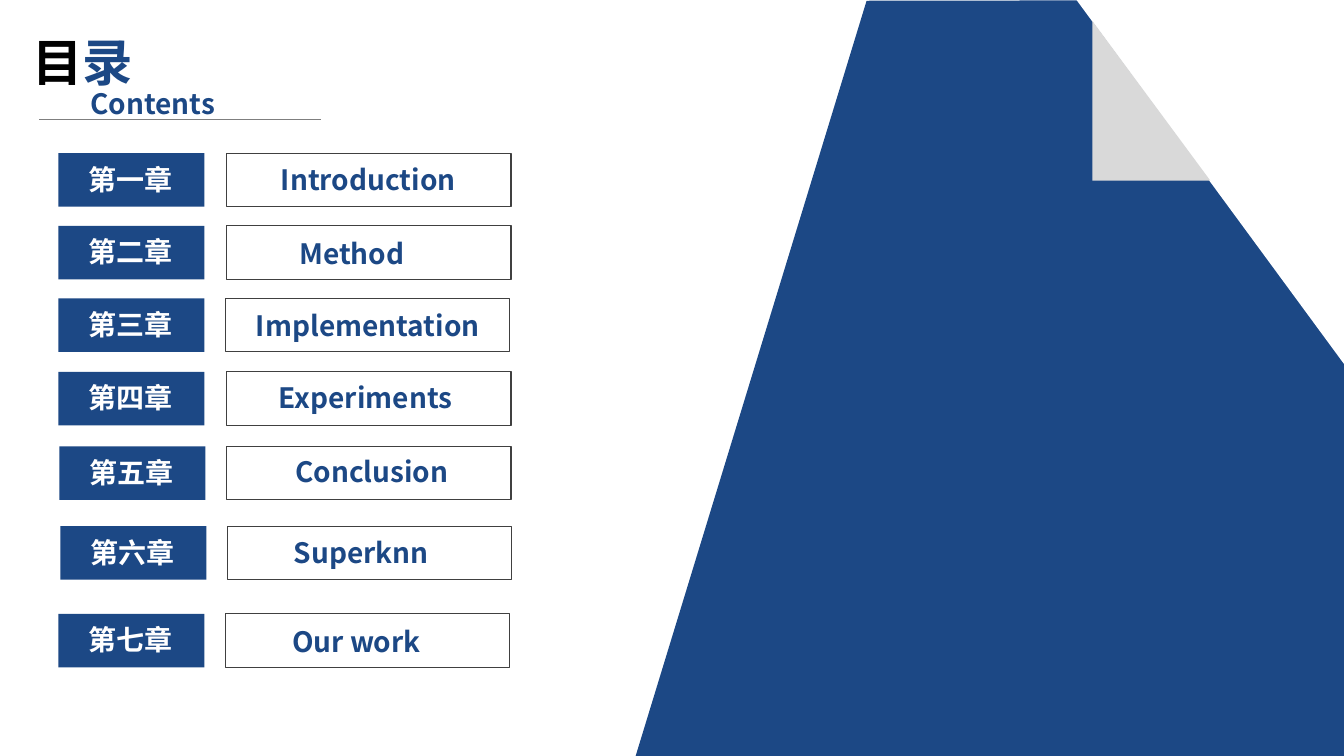
from dataclasses import dataclass
from typing import NamedTuple

import pptx
import pptx.dml.color
import pptx.enum.shapes
import pptx.enum.text
import pptx.oxml.ns
import pptx.util
from lxml import etree
from pptx.util import Cm


def rgb(code):
    return pptx.dml.color.RGBColor.from_string(code)


@dataclass(frozen=True)
class Theme:
    font: str = "Noto Sans CJK SC"
    navy: str = "1C4885"
    white: str = "FFFFFF"
    black: str = "000000"
    fold: str = "D9D9D9"
    frame: str = "404040"
    rule: str = "7F7F7F"
    heading_size: int = 36
    body_size: int = 20


THEME = Theme()


class Chapter(NamedTuple):
    """One row of the contents; all lengths are centimetres."""
    number: str
    title: str
    top: float
    chip_left: float
    frame_left: float
    title_left: float
    title_top: float
    title_width: float


CHAPTERS = [
    Chapter("第一章", "Introduction", 3.86, 1.47, 5.72, 6.83, 3.96, 6.48),
    Chapter("第二章", "Method", 5.69, 1.47, 5.72, 7.29, 5.84, 5.36),
    Chapter("第三章", "Implementation", 7.52, 1.47, 5.69, 6.2, 7.65, 7.57),
    Chapter("第四章", "Experiments", 9.37, 1.47, 5.72, 6.78, 9.47, 6.28),
    Chapter("第五章", "Conclusion", 11.25, 1.5, 5.72, 7.19, 11.33, 6.58),
    Chapter("第六章", "Superknn", 13.26, 1.52, 5.74, 7.16, 13.36, 4.27),
    Chapter("第七章", "Our work", 15.47, 1.47, 5.69, 7.11, 15.6, 4.27),
]


def add_polygon(shapes, corners, color):
    (start_x, start_y), *others = [(Cm(x), Cm(y)) for x, y in corners]
    outline = shapes.build_freeform(start_x, start_y)
    outline.add_line_segments(others, close=True)
    polygon = outline.convert_to_shape()
    polygon.shadow.inherit = False
    polygon.fill.solid()
    polygon.fill.fore_color.rgb = rgb(color)
    polygon.line.fill.background()


def add_box(shapes, left, top, width, fill=None, border=None):
    box = shapes.add_shape(pptx.enum.shapes.MSO_SHAPE.RECTANGLE,
                           Cm(left), Cm(top), Cm(width), Cm(1.35))
    box.shadow.inherit = False
    if fill:
        box.fill.solid()
        box.fill.fore_color.rgb = rgb(fill)
    else:
        box.fill.background()
    if border:
        box.line.color.rgb = rgb(border)
        box.line.width = pptx.util.Pt(0.75)
    else:
        box.line.fill.background()


def add_label(shapes, left, top, width, height, size, *pieces):
    """Add one bold line made of (text, colour) pieces."""
    label = shapes.add_textbox(Cm(left), Cm(top), Cm(width), Cm(height))
    frame = label.text_frame
    frame.word_wrap = True
    frame.auto_size = pptx.enum.text.MSO_AUTO_SIZE.SHAPE_TO_FIT_TEXT
    for text, color in pieces:
        run = frame.paragraphs[0].add_run()
        run.text = text
        run.font.size = pptx.util.Pt(size)
        run.font.bold = True
        run.font.color.rgb = rgb(color)
        run.font.name = THEME.font
        east_asian = etree.SubElement(run.font._element, pptx.oxml.ns.qn("a:ea"))
        east_asian.set("typeface", THEME.font)


def add_rule(shapes, left, right, y):
    rule = shapes.add_connector(pptx.enum.shapes.MSO_CONNECTOR.STRAIGHT,
                                Cm(left), Cm(y), Cm(right), Cm(y))
    rule.line.color.rgb = rgb(THEME.rule)
    rule.line.width = pptx.util.Pt(0.5)
    etree.SubElement(rule._element.spPr, pptx.oxml.ns.qn("a:effectLst"))


def add_folded_sheet(shapes):
    add_polygon(shapes, [(21.84, 0.02), (33.87, 0), (33.87, 19.05), (16.02, 19.05)],
                THEME.navy)
    add_polygon(shapes, [(27.13, 0), (33.87, 0), (33.87, 9.17)], THEME.white)
    add_polygon(shapes, [(30.5, 4.55), (27.53, 4.55), (27.53, 0.53)], THEME.fold)


def add_heading(shapes):
    heading = shapes.add_group_shape().shapes
    add_label(heading, 0.56, 0.66, 3.99, 1.8, THEME.heading_size,
              ("目", THEME.black), ("录", THEME.navy))
    add_rule(heading, 0.99, 8.08, 3.02)
    add_label(heading, 2.03, 2.06, 3.99, 1.12, THEME.body_size,
              ("Contents", THEME.navy))


def add_chapter(shapes, chapter):
    add_box(shapes, chapter.frame_left, chapter.top, 7.16, border=THEME.frame)
    add_label(shapes, chapter.title_left, chapter.title_top, chapter.title_width, 1.12,
              THEME.body_size, (chapter.title, THEME.navy))
    add_box(shapes, chapter.chip_left, chapter.top, 3.68, fill=THEME.navy)
    add_label(shapes, chapter.chip_left + 0.5, chapter.top + 0.1, 2.67, 1.12,
              THEME.body_size, (chapter.number, THEME.white))


def main():
    deck = pptx.Presentation()
    deck.slide_width, deck.slide_height = Cm(33.87), Cm(19.05)
    shapes = deck.slides.add_slide(deck.slide_layouts[6]).shapes
    add_folded_sheet(shapes)
    add_heading(shapes)
    for chapter in CHAPTERS:
        add_chapter(shapes, chapter)
    deck.save("out.pptx")


if __name__ == "__main__":
    main()
